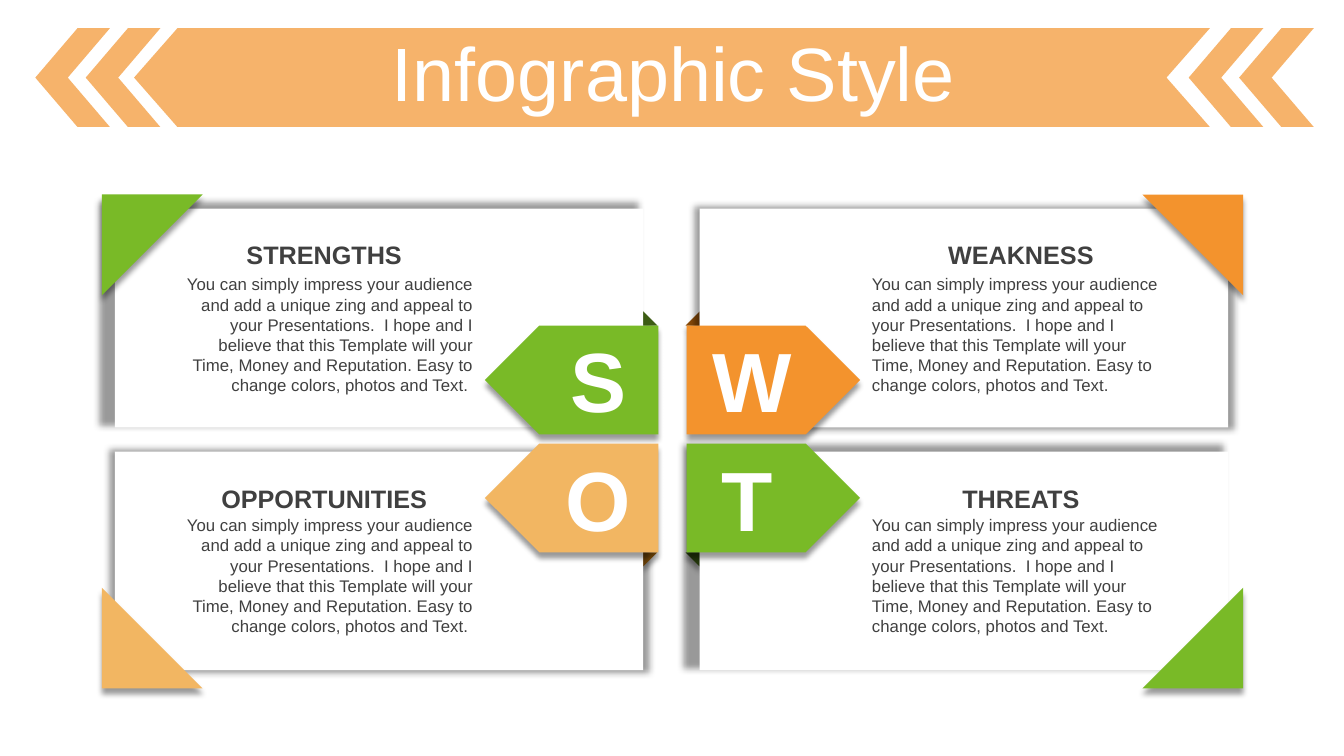
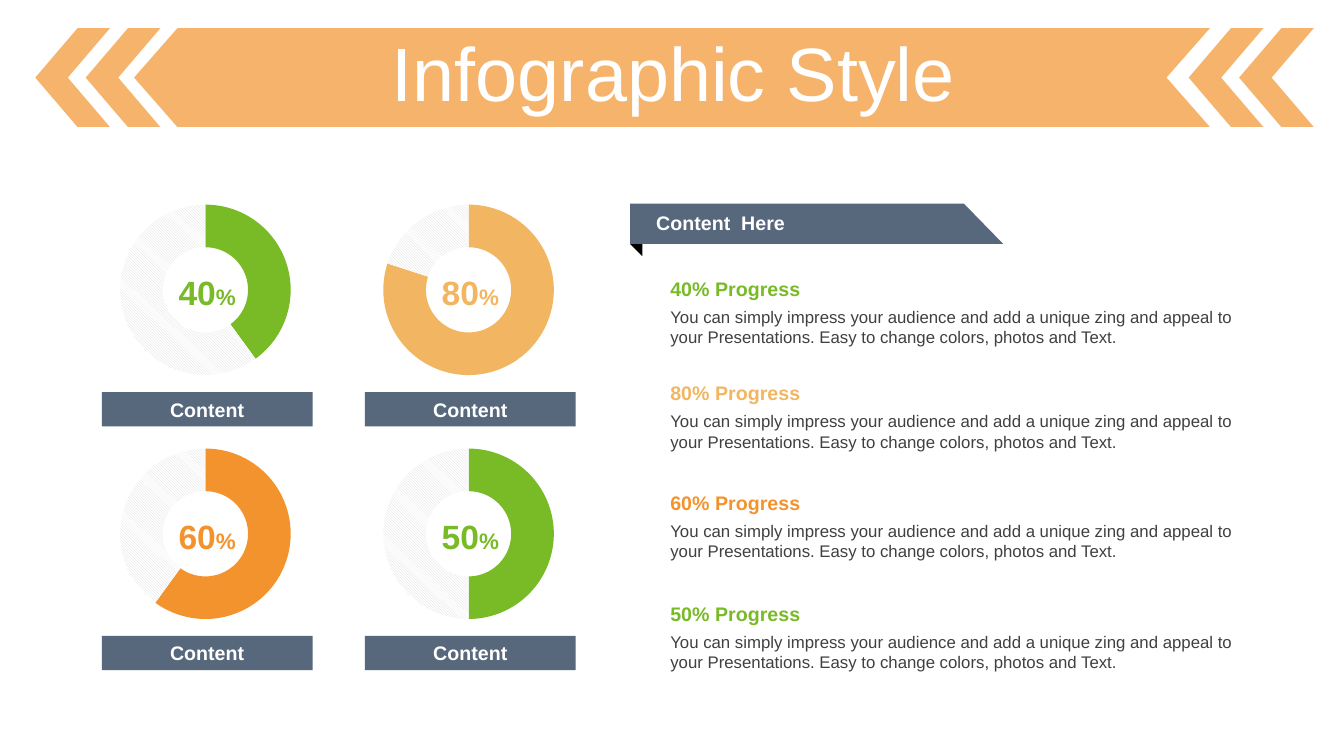
from lxml.etree import SubElement
from pptx import Presentation
from pptx.chart.data import CategoryChartData
from pptx.dml.color import RGBColor
from pptx.enum.chart import XL_CHART_TYPE
from pptx.enum.dml import MSO_PATTERN
from pptx.enum.shapes import MSO_SHAPE
from pptx.enum.text import MSO_ANCHOR, PP_ALIGN
from pptx.oxml.ns import qn
from pptx.util import Inches, Pt

GREEN, ORANGE, SAND = "79BA27", "F3932D", "F2B662"
SLATE, DARK, WHITE, BLACK = "57687C", "404040", "FFFFFF", "000000"

TITLE = {"size": Pt(54)}
LETTER = {"size": Pt(60), "bold": True}
HEADING = {"size": Pt(18), "bold": True}
LABEL = {"size": Pt(14), "bold": True}
BODY = {"size": Pt(12)}
NUMBER = {"size": Pt(24), "bold": True}
PERCENT = {"size": Pt(16), "bold": True}

CARD_SHADOW = {"blurRad": Pt(5), "sx": 102000, "sy": 102000, "algn": "ctr", "rotWithShape": 0}
DROP_SHADOW = {"blurRad": Pt(4), "dist": Pt(4), "dir": 90 * 60000, "algn": "t", "rotWithShape": 0}

SWOT_TEXT = (
    "You can simply impress your audience and add a unique zing and appeal to your "
    "Presentations.  I hope and I believe that this Template will your Time, Money and "
    "Reputation. Easy to change colors, photos and Text."
)
PROGRESS_TEXT = (
    "You can simply impress your audience and add a unique zing and appeal to your "
    "Presentations. Easy to change colors, photos and Text."
)

LEFT_SIDE = {
    "card": 1.14, "arrow": 4.81, "letter": 5.49, "text": 1.64, "corner": 1.01,
    "fold": (6.38, 6.52), "turn": 180, "align": PP_ALIGN.RIGHT, "ending": " ",
}
RIGHT_SIDE = {
    "card": 6.94, "arrow": 6.81, "letter": 6.97, "text": 8.55, "corner": 11.33,
    "fold": (6.94, 6.8), "turn": 0, "align": PP_ALIGN.LEFT, "ending": "",
}
TOP_ROW = {
    "card": 2.07, "arrow": 3.23, "letter": 3.21, "heading": 2.33, "body": 2.67,
    "corner": 1.93, "fold": (3.23, 3.09),
}
BOTTOM_ROW = {
    "card": 4.48, "arrow": 4.4, "letter": 4.39, "heading": 4.75, "body": 5.06,
    "corner": 5.83, "fold": (5.48, 5.62),
}
QUADRANTS = [
    ("S", "STRENGTHS", GREEN, "3D5D14", LEFT_SIDE, TOP_ROW, 90, True),
    ("W", "WEAKNESS", ORANGE, "884A08", RIGHT_SIDE, TOP_ROW, 180, False),
    ("O", "OPPORTUNITIES", SAND, "9D610D", LEFT_SIDE, BOTTOM_ROW, 0, False),
    ("T", "THREATS", GREEN, "3D5D14", RIGHT_SIDE, BOTTOM_ROW, 270, True),
]
PROGRESS = [(40, GREEN, 2.69), (80, SAND, 3.73), (60, ORANGE, 4.82), (50, GREEN, 5.92)]


def color(hex_string):
    return RGBColor.from_string(hex_string)


def paint(shape, fill, alpha=None, shadow=None):
    shape.fill.solid()
    shape.fill.fore_color.rgb = color(fill)
    shape.line.fill.background()
    shape.shadow.inherit = False
    properties = shape.element.spPr
    if alpha:
        solid = properties.find(qn("a:solidFill"))
        SubElement(solid[0], qn("a:alpha"), val=str(alpha * 1000))
    if shadow:
        effects = properties.find(qn("a:effectLst"))
        values = {name: str(value) for name, value in shadow.items()}
        outer = SubElement(effects, qn("a:outerShdw"), values)
        shade = SubElement(outer, qn("a:srgbClr"), val=BLACK)
        SubElement(shade, qn("a:alpha"), val="40000")
    return shape


def add_block(slide, kind, box, fill, rotation=0, **effects):
    shape = slide.shapes.add_shape(kind, *map(Inches, box))
    shape.rotation = rotation
    return paint(shape, fill, **effects)


def add_outline(slide, points, fill, **effects):
    corners = [(Inches(x), Inches(y)) for x, y in points]
    builder = slide.shapes.build_freeform(*corners[0], scale=1.0)
    builder.add_line_segments(corners[1:], close=True)
    return paint(builder.convert_to_shape(), fill, **effects)


def write(shape, runs, font_color, align=PP_ALIGN.LEFT, anchor=MSO_ANCHOR.TOP):
    frame = shape.text_frame
    frame.word_wrap = True
    frame.vertical_anchor = anchor
    paragraph = frame.paragraphs[0]
    paragraph.alignment = align
    for text, style in runs:
        run = paragraph.add_run()
        run.text = text
        for name, value in {"name": "Arial", **style}.items():
            setattr(run.font, name, value)
        run.font.color.rgb = color(font_color)
    return paragraph


def add_text(slide, box, runs, font_color, **layout):
    text_box = slide.shapes.add_textbox(*map(Inches, box))
    return write(text_box, runs, font_color, **layout)


def add_title_band(slide, title):
    top, height, alpha = 0.28, 0.98, 70
    for left in (0.35, 0.85, 11.79, 12.29):
        chevron = add_block(
            slide, MSO_SHAPE.CHEVRON, (left, top, 0.74, height), ORANGE, 180, alpha=alpha
        )
        chevron.adjustments[0] = 0.565
    middle, bottom = top + height / 2, top + height
    points = [(1.76, top), (12, top), (11.57, middle), (12, bottom), (1.76, bottom), (1.33, middle)]
    add_outline(slide, points, ORANGE, alpha=alpha)
    paragraph = add_text(
        slide, (0.35, 0.37, 12.66, 0.79), [(title, TITLE)], WHITE,
        align=PP_ALIGN.CENTER, anchor=MSO_ANCHOR.MIDDLE,
    )
    paragraph.line_spacing = 0.9


def add_fold(slide, side, row, fill):
    (inner, outer), (base, tip) = side["fold"], row["fold"]
    points = [(inner, base), (outer, base), (inner, tip)]
    add_outline(slide, points, fill, shadow=DROP_SHADOW)


def add_card(slide, side, row, flipped):
    box = (side["card"], row["card"], 5.24, 2.17)
    card = add_block(slide, MSO_SHAPE.RECTANGLE, box, WHITE, shadow=CARD_SHADOW)
    if flipped:
        card.element.spPr.xfrm.set("flipV", "1")


def add_quadrant(slide, letter, heading, fill, side, row, corner_turn):
    add_block(
        slide, MSO_SHAPE.PENTAGON, (side["arrow"], row["arrow"], 1.72, 1.08), fill,
        side["turn"], shadow=DROP_SHADOW,
    )
    add_text(
        slide, (side["letter"], row["letter"], 0.89, 1.11), [(letter, LETTER)], WHITE,
        align=PP_ALIGN.CENTER,
    )
    add_text(
        slide, (side["text"], row["heading"], 3.15, 0.3), [(heading, HEADING)], DARK,
        align=PP_ALIGN.CENTER,
    )
    add_text(
        slide, (side["text"], row["body"], 3.15, 1.31), [(SWOT_TEXT + side["ending"], BODY)],
        DARK, align=side["align"],
    )
    add_block(
        slide, MSO_SHAPE.RIGHT_TRIANGLE, (side["corner"], row["corner"], 1, 1), fill,
        corner_turn, shadow=DROP_SHADOW,
    )


def add_doughnut(slide, left, top, percent, fill):
    data = CategoryChartData()
    data.categories = ["1", "2"]
    data.add_series("Series 1", (percent, 100 - percent))
    box = map(Inches, (left, top, 1.73, 1.8))
    chart = slide.shapes.add_chart(XL_CHART_TYPE.DOUGHNUT, *box, data).chart
    chart.has_legend = False
    chart.has_title = False
    for name, value in {"name": "Arial", "size": Pt(18)}.items():
        setattr(chart.font, name, value)
    chart.font.color.rgb = color(BLACK)
    plot = chart.plots[0]
    plot.vary_by_categories = True
    done, remaining = (plot.series[0].points[index].format for index in range(2))
    done.fill.solid()
    done.fill.fore_color.rgb = color(fill)
    remaining.fill.patterned()
    remaining.fill.pattern = MSO_PATTERN.LIGHT_DOWNWARD_DIAGONAL
    remaining.fill.fore_color.rgb = color("D9D9D9")
    remaining.fill.back_color.rgb = color(WHITE)
    for part in (done, remaining):
        part.line.fill.background()
    set_plot_layout(chart)


def set_plot_layout(chart):
    plot_area = chart.element.find(".//" + qn("c:plotArea"))
    plot_area.find(".//" + qn("c:holeSize")).set("val", "75")
    layout = plot_area.find(qn("c:layout"))
    if layout is None:
        layout = SubElement(plot_area, qn("c:layout"))
        plot_area.insert(0, layout)
    manual = SubElement(layout, qn("c:manualLayout"))
    values = {
        "layoutTarget": "inner", "xMode": "edge", "yMode": "edge",
        "x": "0", "y": "0", "w": "0.98", "h": "0.94",
    }
    for name, value in values.items():
        SubElement(manual, qn("c:" + name), val=value)


def add_gauge(slide, left, top, percent, fill):
    add_doughnut(slide, left + 0.18, top, percent, fill)
    add_text(
        slide, (left + 0.6, top + 0.62, 0.89, 0.5), [(str(percent), NUMBER), ("%", PERCENT)],
        fill, align=PP_ALIGN.CENTER, anchor=MSO_ANCHOR.MIDDLE,
    )
    label = add_block(slide, MSO_SHAPE.RECTANGLE, (left, top + 1.86, 2.09, 0.34), SLATE)
    write(label, [("Content", LABEL)], WHITE, PP_ALIGN.CENTER, MSO_ANCHOR.MIDDLE)


def add_ribbon(slide, text):
    left, top, bottom = 6.25, 2.02, 2.42
    add_outline(slide, [(left, bottom), (6.37, bottom), (6.37, 2.54)], BLACK)
    add_outline(slide, [(left, top), (9.56, top), (9.95, bottom), (left, bottom)], SLATE)
    add_text(
        slide, (6.41, 2.04, 3.08, 0.34), [(text, LABEL)], WHITE, anchor=MSO_ANCHOR.MIDDLE
    )


def add_progress(slide, top, percent, fill):
    add_text(
        slide, (6.55, top, 5.79, 0.34), [(f"{percent}% Progress", LABEL)], fill,
        anchor=MSO_ANCHOR.MIDDLE,
    )
    add_text(slide, (6.55, top + 0.3, 5.79, 0.5), [(PROGRESS_TEXT, BODY)], DARK)


def build_swot(slide):
    for _, _, _, fold_fill, side, row, _, _ in QUADRANTS:
        add_fold(slide, side, row, fold_fill)
    for _, _, _, _, side, row, _, flipped in QUADRANTS:
        add_card(slide, side, row, flipped)
    for letter, heading, fill, _, side, row, corner_turn, _ in QUADRANTS:
        add_quadrant(slide, letter, heading, fill, side, row, corner_turn)


def build_progress(slide):
    add_ribbon(slide, "Content  Here")
    for index, (percent, fill, text_top) in enumerate(PROGRESS):
        row, column = divmod(index, 2)
        add_gauge(slide, 1.01 + column * 2.61, 2.03 + row * 2.42, percent, fill)
        add_progress(slide, text_top, percent, fill)


def main():
    presentation = Presentation()
    presentation.slide_width = Inches(13.33)
    presentation.slide_height = Inches(7.5)
    for build in (build_swot, build_progress):
        slide = presentation.slides.add_slide(presentation.slide_layouts[6])
        add_title_band(slide, "Infographic Style")
        build(slide)
    presentation.save("out.pptx")


if __name__ == "__main__":
    main()
